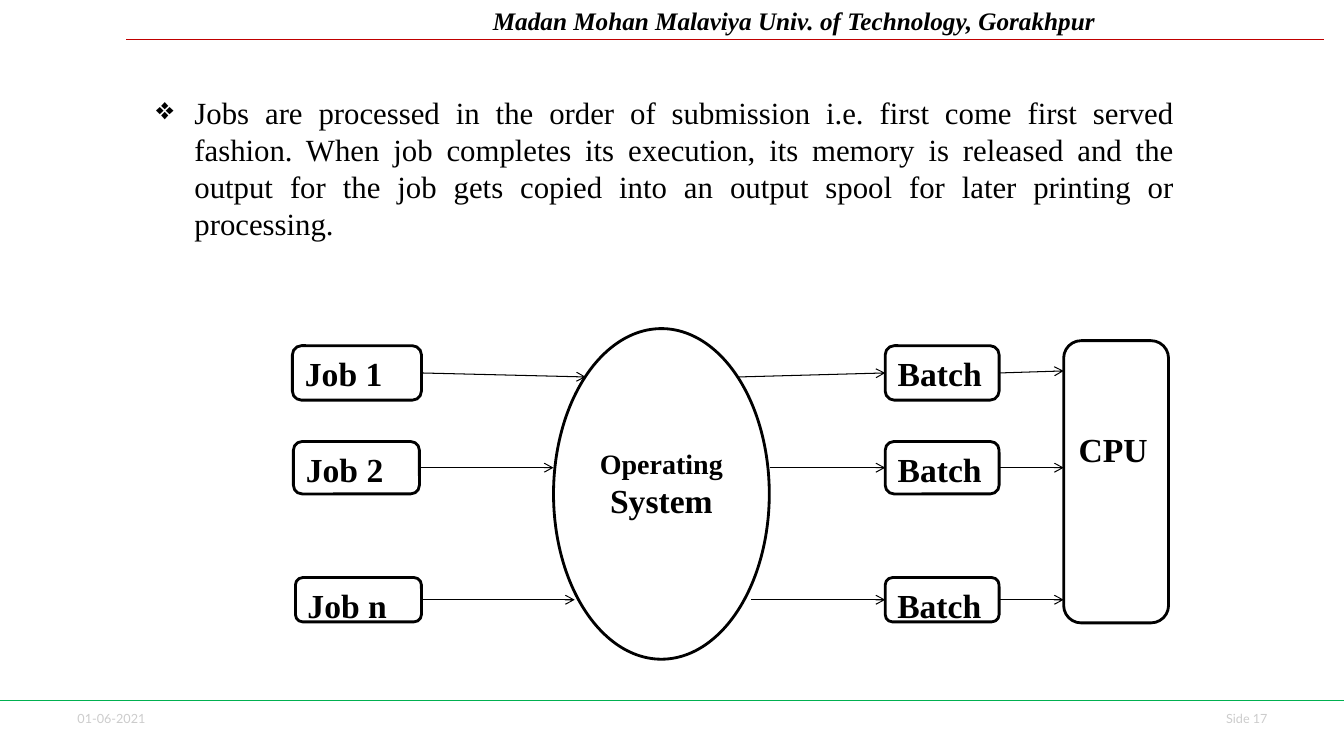
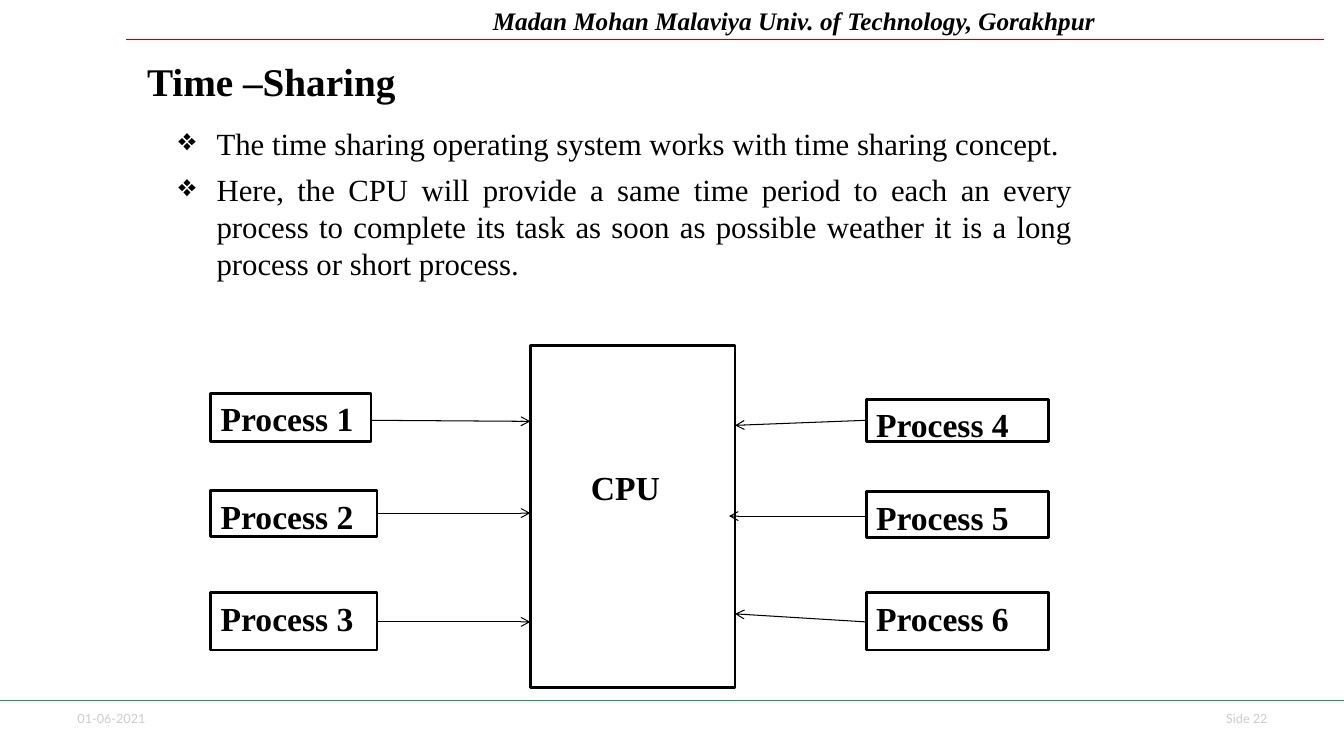
"""Builds two operating-system slides: batch processing and time sharing."""
from lxml.etree import SubElement
from pptx import Presentation
from pptx.dml.color import RGBColor
from pptx.enum.shapes import MSO_CONNECTOR, MSO_SHAPE
from pptx.enum.text import MSO_ANCHOR, PP_ALIGN
from pptx.oxml.ns import qn
from pptx.util import Inches, Pt

COLORS = {"ink": "000000", "paper": "FFFFFF", "red": "C00000",
          "green": "00B050", "grey": "CCCCCC"}
SERIF = "Times New Roman"
UNIVERSITY = "Madan Mohan Malaviya Univ. of Technology, Gorakhpur"
DATE = "01-06-2021"


def add_text(s, at, lines, size=24, shape=None, font=SERIF, color="ink", bold=True,
             italic=False, align=PP_ALIGN.LEFT, bullet=None, left=0.1, top=0.05):
    at = [Inches(v) for v in at]
    if shape is None:
        sp = s.shapes.add_textbox(*at)
    else:
        sp = s.shapes.add_shape(shape, *at)
        sp.shadow.inherit = False
        sp.fill.solid()
        sp.fill.fore_color.rgb = RGBColor.from_string(COLORS["paper"])
        sp.line.color.rgb = RGBColor.from_string(COLORS["ink"])
        sp.line.width = Pt(2)
    tf = sp.text_frame
    tf.word_wrap = True
    tf.vertical_anchor = MSO_ANCHOR.TOP
    tf.margin_left, tf.margin_top = Inches(left), Inches(top)
    tf.text = "\n".join(lines)
    for i, p in enumerate(tf.paragraphs):
        p.alignment = align
        if bullet:
            pPr = p._p.get_or_add_pPr()
            pPr.set("marL", str(Inches(0.38)))
            pPr.set("indent", str(Inches(-0.38)))
            SubElement(pPr, qn("a:buChar")).set("char", bullet)
            if i:
                p.space_before = Pt(0.3 * size)
        for r in p.runs:
            r.font.name, r.font.size = font, Pt(size)
            r.font.bold, r.font.italic = bold, italic
            r.font.color.rgb = RGBColor.from_string(COLORS[color])
    return tf


def add_line(s, x1, y1, x2, y2, color="ink", arrow=True):
    ln = s.shapes.add_connector(MSO_CONNECTOR.STRAIGHT, Inches(x1), Inches(y1),
                                Inches(x2), Inches(y2))
    ln.line.color.rgb = RGBColor.from_string(COLORS[color])
    ln.line.width = Pt(0.75)
    if arrow:
        SubElement(ln.line._get_or_add_ln(), qn("a:tailEnd")).set("type", "arrow")
    SubElement(ln._element.spPr, qn("a:effectLst"))


prs = Presentation()
prs.slide_width, prs.slide_height = Inches(13.33), Inches(7.5)

slides = []
for number in (17, 22):
    s = prs.slides.add_slide(prs.slide_layouts[6])
    small = dict(size=9, font="Lato", color="grey", bold=False)
    add_text(s, (0.67, 7, 1.38, 0.25), [DATE], **small)
    add_text(s, (11.56, 7, 1.11, 0.25), [f"Side {number}"], align=PP_ALIGN.RIGHT, **small)
    add_text(s, (4.79, 0, 8.54, 0.4), [UNIVERSITY], size=18, italic=True)
    add_line(s, 1.25, 0.39, 13.13, 0.39, "red", arrow=False)
    add_line(s, 0, 6.95, 13.33, 6.95, "green", arrow=False)
    slides.append(s)
batch, sharing = slides
body = dict(size=22, bold=False, align=PP_ALIGN.JUSTIFY, bullet="❖")

add_text(batch, (1.45, 0.88, 10.29, 5.91), [
    "Jobs are processed in the order of submission i.e. first come first served fashion. "
    "When job completes its execution, its memory is released and the output for the job "
    "gets copied into an output spool for later printing or processing."], **body)
tf = add_text(batch, (5.49, 3.26, 2.14, 3.28), ["Operating "], size=20,
              shape=MSO_SHAPE.OVAL, align=PP_ALIGN.CENTER, top=0.69)
r = tf.paragraphs[0].add_run()
r.text = "System"
r.font.name, r.font.size, r.font.bold = SERIF, Pt(24), True
r.font.color.rgb = RGBColor.from_string(COLORS["ink"])
rounded = MSO_SHAPE.ROUNDED_RECTANGLE
add_text(batch, (10.55, 3.38, 1.04, 2.8), ["CPU"], shape=rounded, top=0.82)

job_rows = [
    ("Job 1", 2.9, 1.28, 3.43, 0.54, 3.7, 5.81, 7.32, 3.74, 3.68),
    ("Job 2", 2.91, 1.25, 4.38, 0.52, 4.64, 5.49, 7.64, 4.64, 4.64),
    ("Job n", 2.93, 1.25, 5.73, 0.44, 5.95, 5.7, 7.45, 5.95, 5.95),
]
for job, x, w, y, h, mid, os_in, os_out, os_y, cpu_y in job_rows:
    add_text(batch, (x, y, w, h), [job], shape=rounded)
    add_text(batch, (8.78, y, 1.13, h), ["Batch"], shape=rounded)
    add_line(batch, x + w, mid, os_in, os_y)
    add_line(batch, os_out, os_y, 8.78, mid)
    add_line(batch, 9.91, mid, 10.55, cpu_y)

add_text(sharing, (1.36, 0.52, 7.49, 0.75), ["Time –Sharing"], size=28)
add_text(sharing, (1.67, 1.19, 9.06, 5.8), [
    "The time sharing operating system works with time sharing concept.",
    "Here, the CPU will provide a same time period to each an every process to complete "
    "its task as soon as possible weather it is a long process or short process."], **body)
add_text(sharing, (5.26, 3.43, 2.03, 3.39), ["CPU"], shape=MSO_SHAPE.RECTANGLE,
         left=0.6, top=1.2)

processes = [
    (2.09, 3.9, 1.59, 0.48, 3.68, 4.17, 5.26, 4.18),
    (2.09, 4.87, 1.65, 0.45, 3.74, 5.09, 5.26, 5.09),
    (2.09, 5.88, 1.65, 0.57, 3.74, 6.17, 5.26, 6.17),
    (8.59, 3.96, 1.81, 0.42, 8.59, 4.17, 7.29, 4.22),
    (8.59, 4.88, 1.81, 0.45, 8.59, 5.12, 7.23, 5.12),
    (8.59, 5.88, 1.81, 0.57, 8.59, 6.17, 7.29, 6.09),
]
for i, (x, y, w, h, *arrow) in enumerate(processes, 1):
    add_text(sharing, (x, y, w, h), [f"Process {i}"], shape=MSO_SHAPE.RECTANGLE)
    add_line(sharing, *arrow)

prs.save("out.pptx")
